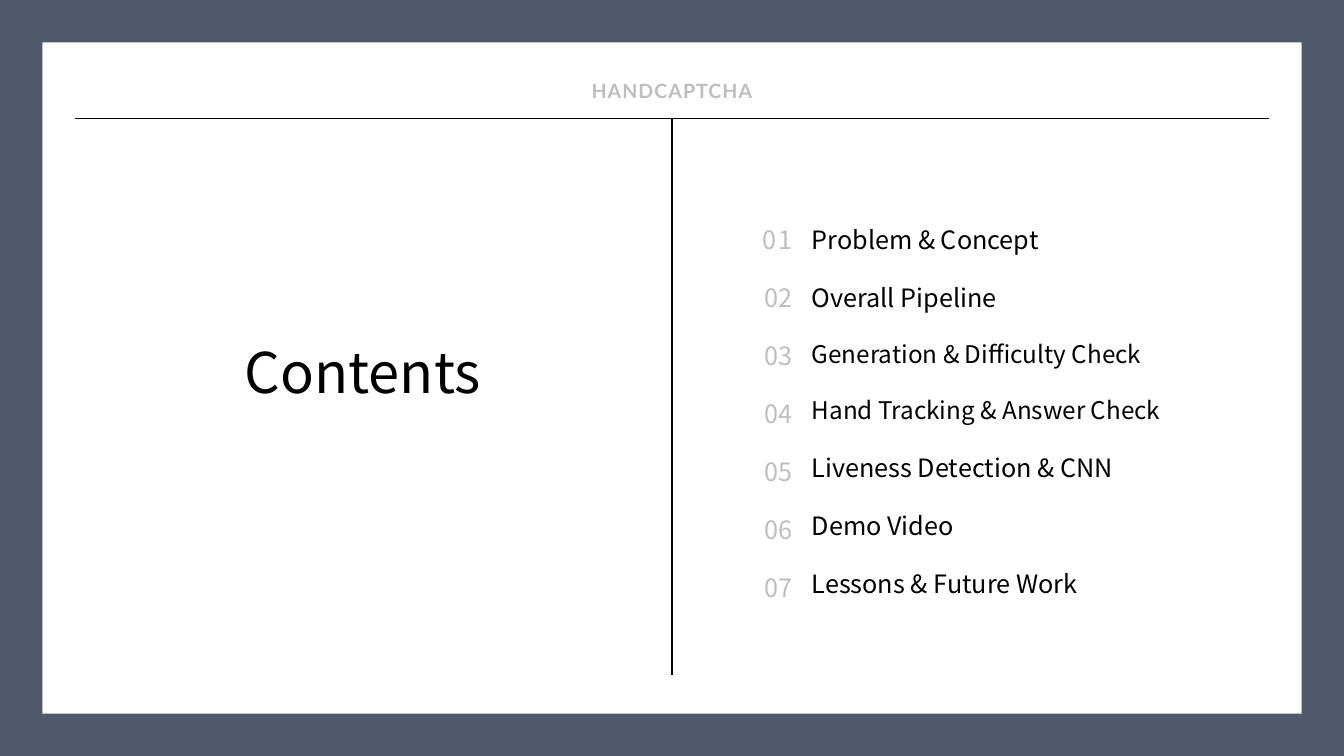
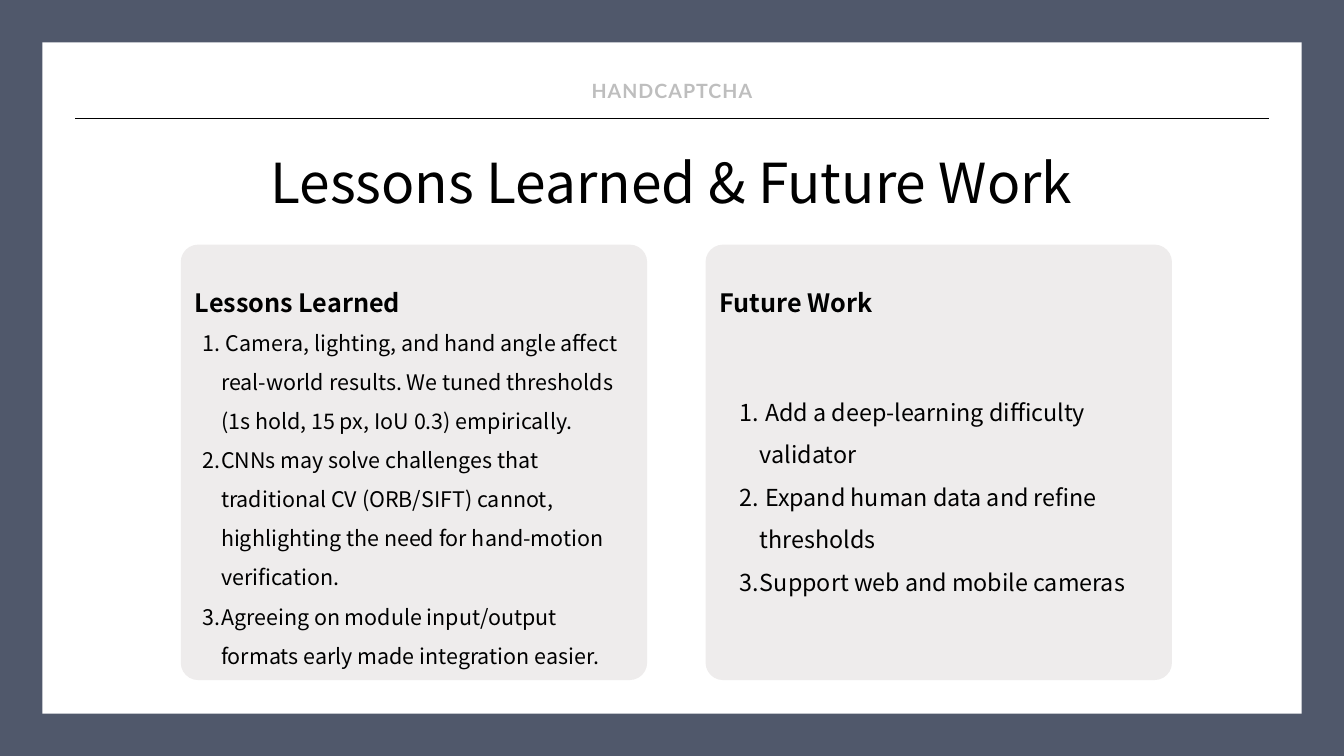
from lxml import etree
from pptx import Presentation
from pptx.dml.color import RGBColor
from pptx.enum.shapes import MSO_CONNECTOR, MSO_SHAPE
from pptx.enum.text import PP_ALIGN
from pptx.oxml.ns import qn
from pptx.util import Inches, Pt

SLATE = RGBColor(0x50, 0x58, 0x6B)
WHITE = RGBColor(0xFF, 0xFF, 0xFF)
BLACK = RGBColor(0x00, 0x00, 0x00)
GREY = RGBColor(0xBE, 0xBE, 0xBE)
CARD = RGBColor(0xEE, 0xEC, 0xEC)
BODY_FONT = "Noto Sans CJK KR"
HEADER_FONT = "Lato"
LEFT, CENTER, RIGHT = PP_ALIGN.LEFT, PP_ALIGN.CENTER, PP_ALIGN.RIGHT
RECT, ROUNDED = MSO_SHAPE.RECTANGLE, MSO_SHAPE.ROUNDED_RECTANGLE
STRAIGHT = MSO_CONNECTOR.STRAIGHT

W, H = 20, 11.25
MARGIN = 0.63
RULE_X, RULE_Y = 1.12, 1.76
CONTENTS_LEADING = 2.3

TOPICS = [
    ("Problem & Concept", 27),
    ("Overall Pipeline", 27),
    ("Generation & Difficulty Check", 26),
    ("Hand Tracking & Answer Check", 26),
    ("Liveness Detection & CNN", 27),
    ("Demo Video", 27),
    ("Lessons & Future Work", 27),
]
LESSONS = [
    " Camera, lighting, and hand angle affect real-world results. "
    "We tuned thresholds (1s hold, 15 px, IoU 0.3) empirically.",
    "CNNs may solve challenges that traditional CV (ORB/SIFT) cannot, "
    "highlighting the need for hand-motion verification.",
    "Agreeing on module input/output formats early made integration easier.",
]
FUTURE = [
    " Add a deep-learning difficulty validator",
    " Expand human data and refine thresholds",
    "Support web and mobile cameras",
]


def add_panel(slide, kind, box, color):
    """Add a plain filled shape."""
    sp = slide.shapes.add_shape(kind, *map(Inches, box))
    sp.shadow.inherit = False
    sp.fill.solid()
    sp.fill.fore_color.rgb = color
    sp.line.fill.background()
    return sp


def add_rule(slide, x1, y1, x2, y2):
    """Add a thin black line."""
    line = slide.shapes.add_connector(STRAIGHT, *map(Inches, (x1, y1, x2, y2)))
    line.line.color.rgb = BLACK
    line.line.width = Pt(1.5)
    etree.SubElement(line._element.spPr, qn("a:effectLst"))


def add_text_frame(slide, box):
    """Add a wrapping text box without insets and return its frame."""
    tf = slide.shapes.add_textbox(*map(Inches, box)).text_frame
    tf.word_wrap = True
    tf.margin_left = tf.margin_top = tf.margin_right = tf.margin_bottom = 0
    return tf


def add_line(tf, text, size, leading, align=LEFT, color=BLACK, bold=False,
             font=BODY_FONT, spacing=0):
    """Add a one-run paragraph, reusing the empty first one."""
    p = tf.paragraphs[0]
    if p.runs:
        p = tf.add_paragraph()
    p.alignment = align
    p.line_spacing = Pt(leading)
    r = p.add_run()
    r.text = text
    r.font.size = Pt(size)
    r.font.name = font
    r.font.bold = bold
    r.font.color.rgb = color
    rPr = r._r.get_or_add_rPr()
    etree.SubElement(rPr, qn("a:ea"), typeface=font)
    if spacing:
        rPr.set("spc", str(spacing))
    return p


def number_paragraph(p, indent):
    """Turn a paragraph into a numbered item with a hanging indent."""
    p.level = 1
    pPr = p._p.get_or_add_pPr()
    pPr.set("marL", str(Inches(2 * indent)))
    pPr.set("indent", str(-Inches(indent)))
    etree.SubElement(pPr, qn("a:buAutoNum"), type="arabicPeriod")


def add_base(prs):
    """Add a slide with the frame, running header and rule."""
    slide = prs.slides.add_slide(prs.slide_layouts[6])
    fill = slide.background.fill
    fill.solid()
    fill.fore_color.rgb = SLATE
    page = (MARGIN, MARGIN, W - 2 * MARGIN, H - 2 * MARGIN)
    add_panel(slide, RECT, page, WHITE)
    add_rule(slide, RULE_X, RULE_Y, W - RULE_X, RULE_Y)
    tf = add_text_frame(slide, (6.03, 1.17, 7.94, 0.34))
    add_line(tf, "HANDCAPTCHA", 21, 25.2, CENTER, GREY, True, HEADER_FONT, 110)
    return slide


def add_title(slide, box, text, size):
    """Add a large centred title."""
    add_line(add_text_frame(slide, box), text, size, size * 1.15, CENTER)


def add_topics(slide, box):
    """Add the column of numbers and the column of topics."""
    x, y, w, h = box
    numbers = add_text_frame(slide, (x, y, 0.68, h))
    names = add_text_frame(slide, (x + 0.97, y, w - 0.97, h))
    for i, (name, size) in enumerate(TOPICS, 1):
        add_line(numbers, f"{i:02}", 27, 27 * CONTENTS_LEADING, RIGHT, GREY,
                 spacing=220 if i == 1 else 0)
        add_line(names, name, size, size * CONTENTS_LEADING)


def add_card(slide, box, heading, items, list_box, size, leading, indent):
    """Add a rounded card with a heading and a numbered list."""
    x, y, w, h = box
    card = add_panel(slide, ROUNDED, box, CARD)
    card.adjustments[0] = 0.04
    tf = add_text_frame(slide, (x + 0.21, y + 0.4, 6.53, 0.62))
    add_line(tf, heading, 27, 49.1, bold=True)
    dx, dy, list_w, list_h = list_box
    tf = add_text_frame(slide, (x + dx, y + dy, list_w, list_h))
    for item in items:
        number_paragraph(add_line(tf, item, size, leading), indent)


def build_contents(prs):
    """Build the contents slide."""
    slide = add_base(prs)
    add_rule(slide, W / 2, RULE_Y, W / 2, 10.04)
    add_title(slide, (2.35, 5.06, 6.1, 0.99), "Contents", 60)
    add_topics(slide, (11.11, 2.93, 7.7, 5.9))


def build_lessons(prs):
    """Build the slide on lessons and future work."""
    slide = add_base(prs)
    add_title(slide, (2.58, 2.25, 14.83, 0.95), "Lessons Learned & Future Work", 59)
    add_card(slide, (2.69, 3.64, 6.94, 6.48), "Lessons Learned", LESSONS,
             (0.06, 1.07, 6.77, 5.1), 23, 41.9, 0.27)
    add_card(slide, (10.5, 3.64, 6.94, 6.48), "Future Work", FUTURE,
             (0.21, 2.07, 6.53, 3.7), 25, 45.5, 0.3)


def main():
    """Build and save the presentation."""
    prs = Presentation()
    prs.slide_width, prs.slide_height = Inches(W), Inches(H)
    build_contents(prs)
    build_lessons(prs)
    prs.save("out.pptx")


if __name__ == "__main__":
    main()
